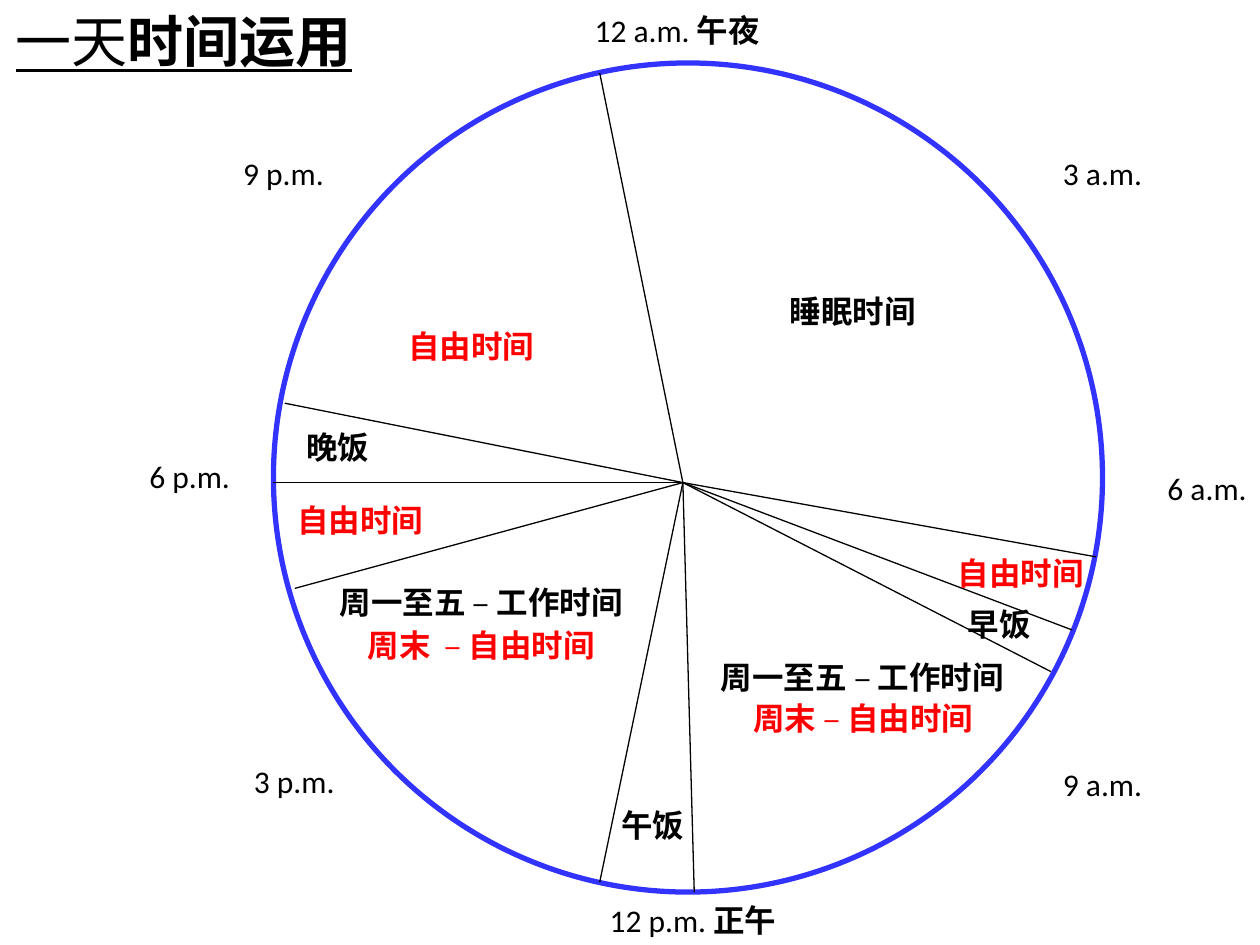
from pptx import Presentation
from pptx.dml.color import RGBColor
from pptx.enum.shapes import MSO_CONNECTOR as Conn, MSO_SHAPE as Shape
from pptx.enum.text import MSO_ANCHOR as Anchor, MSO_AUTO_SIZE as Auto, PP_ALIGN as Align
from pptx.oxml.ns import qn
from pptx.util import Inches, Pt
from lxml import etree

BLACK, RED, BLUE = "000000", "FF0000", "3333FF"
HAN, LATIN = "Noto Sans CJK SC", "Calibri"


def color(code):
    return RGBColor.from_string(code)


def write(frame, parts, size, code, thin=()):
    para = frame.paragraphs[0]
    para.alignment = Align.CENTER
    for part in parts:
        run = para.add_run()
        run.text = part
        han = any("一" <= char <= "龥" for char in part)
        font = run.font
        font.name = HAN if han else LATIN
        font.size = Pt(size)
        font.bold = han and part not in thin
        font.color.rgb = color(code)
        east = etree.SubElement(run._r.get_or_add_rPr(), qn("a:ea"))
        east.set("typeface", HAN)


prs = Presentation()
prs.slide_width, prs.slide_height = Inches(10), Inches(7.5)
slide = prs.slides.add_slide(prs.slide_layouts[5])
shapes = slide.shapes

title = shapes.title
title.left, title.top = Inches(0), Inches(0)
title.width, title.height = Inches(2.92), Inches(0.64)
frame = title.text_frame
frame.word_wrap = True
frame.auto_size = Auto.NONE
frame.vertical_anchor = Anchor.TOP
write(frame, ["一天", "时间运用"], 32, BLACK, thin=["一天"])
for run in frame.paragraphs[0].runs:
    run.font.underline = True

clock = shapes.add_shape(Shape.OVAL, Inches(2.17), Inches(0.5), Inches(6.58), Inches(6.58))
clock.shadow.inherit = False
clock.fill.background()
clock.line.color.rgb = color(BLUE)
clock.line.width = Pt(3)

hub = Inches(5.42), Inches(3.83)
ends = [
    (4.76, 0.58), (2.17, 3.83), (2.26, 3.2), (2.34, 4.67), (4.76, 7),
    (5.51, 7.08), (8.51, 5), (8.34, 5.33), (8.7, 4.42),
]
for x, y in ends:
    hand = shapes.add_connector(Conn.STRAIGHT, *hub, Inches(x), Inches(y))
    hand.line.color.rgb = color(BLACK)
    hand.line.width = Pt(0.75)
    etree.SubElement(hand._element.spPr, qn("a:effectLst"))

free = "自由时间"
work = ["周一至五 ", "– ", "工作时间"]
labels = [
    (6.17, 2.27, 1.2, ["睡眠时间"], BLACK),
    (7.58, 4.75, 0.7, ["早饭"], BLACK),
    (2.33, 3.35, 0.7, ["晚饭"], BLACK),
    (4.83, 6.35, 0.7, ["午饭"], BLACK),
    (5.61, 5.17, 2.47, work, BLACK),
    (2.59, 4.58, 2.46, work, BLACK),
    (5.87, 5.5, 1.96, ["周末", " – ", free], RED),
    (2.81, 4.92, 2.02, ["周末 ", " – ", free], RED),
    (3.14, 2.55, 1.2, [free], RED),
    (2.26, 3.93, 1.2, [free], RED),
    (7.5, 4.35, 1.2, [free], RED),
    (4.58, 0.04, 1.59, ["12 a.m. ", "午夜"], BLACK),
    (8.33, 1.17, 0.84, ["3 a.m."], BLACK),
    (9.16, 3.67, 0.84, ["6 a.m."], BLACK),
    (8.33, 6.02, 0.84, ["9 a.m."], BLACK),
    (4.7, 7.1, 1.6, ["12 p.m. ", "正午"], BLACK),
    (1.91, 6, 0.85, ["3 p.m."], BLACK),
    (1.08, 3.58, 0.85, ["6 p.m."], BLACK),
    (1.82, 1.17, 0.86, ["9 p.m."], BLACK),
]
for x, y, wide, parts, code in labels:
    box = shapes.add_textbox(Inches(x), Inches(y), Inches(wide), Inches(0.4))
    box.text_frame.word_wrap = False
    box.text_frame.auto_size = Auto.SHAPE_TO_FIT_TEXT
    write(box.text_frame, parts, 18, code)

prs.save("out.pptx")
